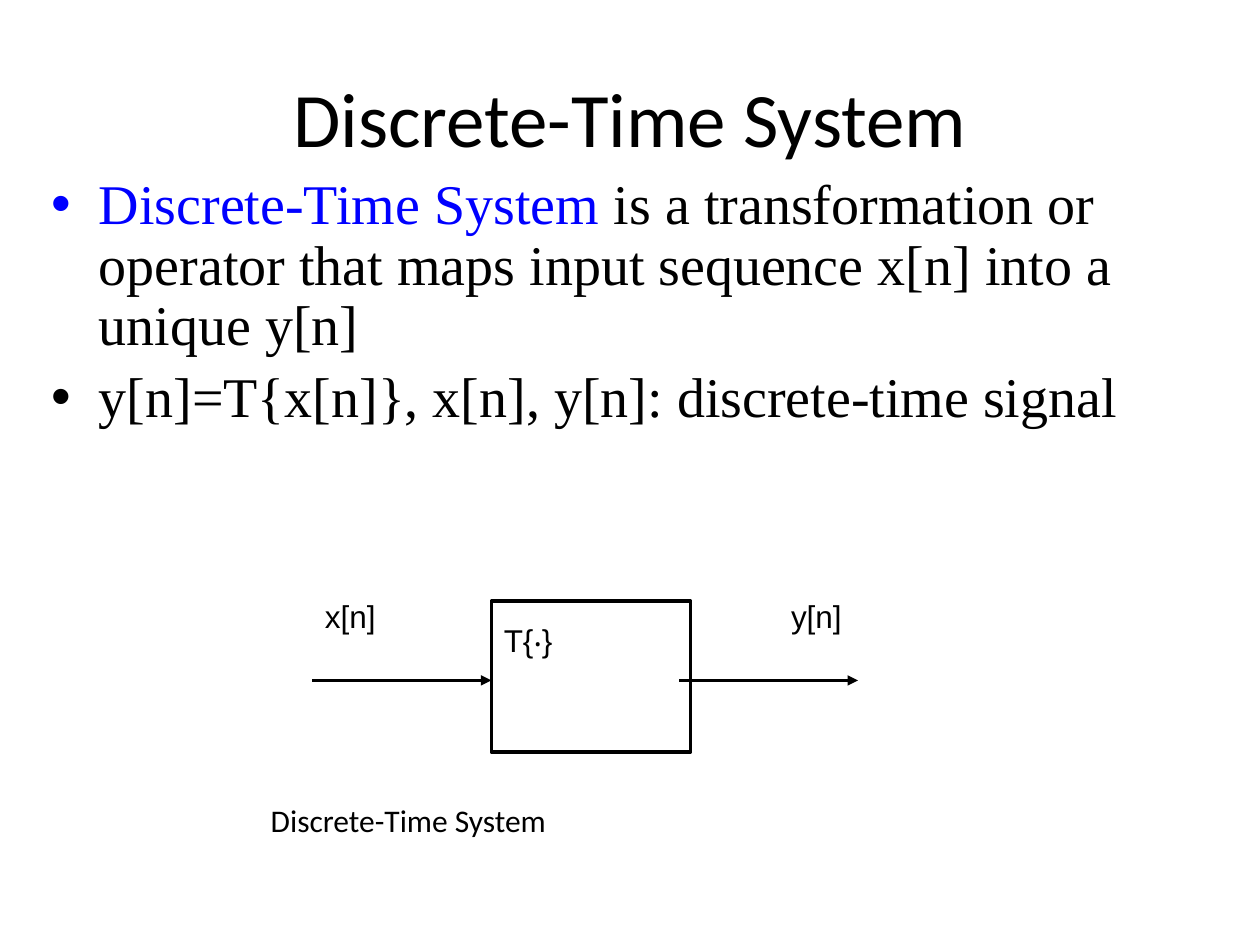
from dataclasses import dataclass
from typing import NamedTuple

from lxml.etree import SubElement
from pptx import Presentation
from pptx.dml.color import RGBColor as RGB
from pptx.enum.shapes import MSO_CONNECTOR as CONNECTOR, MSO_SHAPE as SHAPE
from pptx.enum.text import MSO_ANCHOR as ANCHOR, MSO_AUTO_SIZE as AUTO_SIZE, PP_ALIGN as ALIGN
from pptx.oxml.ns import qn
from pptx.util import Inches, Pt


@dataclass(frozen=True)
class Theme:
    ink: RGB = RGB(0, 0, 0)
    accent: RGB = RGB(0, 0, 255)
    heading_font: str = "Calibri"
    body_font: str = "Times New Roman"
    label_font: str = "Arial"
    title_size: int = 44
    body_size: int = 32
    label_size: int = 18
    box_line: float = 2
    arrow_line: float = 1.5


class Box(NamedTuple):
    left: float
    top: float
    width: float
    height: float

    def lengths(self) -> list:
        return [Inches(value) for value in self]


class Label(NamedTuple):
    text: str
    box: Box
    font: str


THEME = Theme()
TITLE_BOX = Box(0.5, 0.3, 9, 1.25)
BODY_BOX = Box(0.31, 1.35, 9.61, 2.95)
SYSTEM_BOX = Box(3.9, 4.77, 1.58, 1.2)
SIGNAL_Y = 5.4
ARROW_LENGTH = 1.42
ARROW_STARTS = (2.48, 5.39)
SIGNALS = (
    Label("x[n]", Box(2.48, 4.69, 1.02, 0.63), THEME.label_font),
    Label("y[n]", Box(6.18, 4.69, 0.94, 0.63), THEME.label_font),
)
CAPTION = Label("Discrete-Time System", Box(2.05, 6.31, 5.09, 0.63), THEME.heading_font)
# Each bullet is a list of (text, colour) pieces
BULLETS = (
    (("Discrete-Time System ", THEME.accent),
     ("is a transformation or operator that maps input sequence x[n] into a unique y[n]",
      THEME.ink)),
    (("y[n]=T{x[n]}, x[n], y[n]: discrete-time signal", THEME.ink),),
)


def write(paragraph, text: str, *, font: str = THEME.label_font,
          size: float = THEME.label_size, color: RGB = THEME.ink) -> None:
    """Append a formatted run to a paragraph."""
    run = paragraph.add_run()
    run.text = text
    run.font.name = font
    run.font.size = Pt(size)
    run.font.color.rgb = color


def place(placeholder, box: Box):
    """Move a placeholder and return its text frame."""
    (placeholder.left, placeholder.top,
     placeholder.width, placeholder.height) = box.lengths()
    frame = placeholder.text_frame
    frame.auto_size = AUTO_SIZE.NONE
    return frame


def draw_label(shapes, label: Label) -> None:
    frame = shapes.add_textbox(*label.box.lengths()).text_frame
    frame.word_wrap = True
    write(frame.paragraphs[0], label.text, font=label.font)


def draw_system(shapes, text: str) -> None:
    system = shapes.add_shape(SHAPE.RECTANGLE, *SYSTEM_BOX.lengths())
    system.shadow.inherit = False
    system.fill.background()
    system.line.color.rgb = THEME.ink
    system.line.width = Pt(THEME.box_line)
    frame = system.text_frame
    frame.vertical_anchor = ANCHOR.TOP
    frame.margin_top = Inches(0.16)
    frame.paragraphs[0].alignment = ALIGN.LEFT
    write(frame.paragraphs[0], text)


def draw_arrow(shapes, start: float) -> None:
    arrow = shapes.add_connector(
        CONNECTOR.STRAIGHT, Inches(start), Inches(SIGNAL_Y),
        Inches(start + ARROW_LENGTH), Inches(SIGNAL_Y))
    arrow.line.color.rgb = THEME.ink
    arrow.line.width = Pt(THEME.arrow_line)
    SubElement(arrow.line._get_or_add_ln(), qn("a:tailEnd"), type="triangle")
    SubElement(arrow._element.spPr, qn("a:effectLst"))


def main() -> None:
    deck = Presentation()
    deck.slide_width, deck.slide_height = Inches(10), Inches(7.5)
    slide = deck.slides.add_slide(deck.slide_layouts[1])
    title, body = slide.placeholders

    # Title
    heading = place(title, TITLE_BOX)
    heading.vertical_anchor = ANCHOR.MIDDLE
    heading.paragraphs[0].alignment = ALIGN.CENTER
    write(heading.paragraphs[0], "Discrete-Time System",
          font=THEME.heading_font, size=THEME.title_size)

    # Definition; bullets and indents come from the template
    definition = place(body, BODY_BOX)
    for index, pieces in enumerate(BULLETS):
        bullet = definition.add_paragraph() if index else definition.paragraphs[0]
        bullet.line_spacing = 0.9
        for text, color in pieces:
            write(bullet, text, font=THEME.body_font, size=THEME.body_size, color=color)

    # Block diagram
    diagram = slide.shapes.add_group_shape().shapes
    draw_system(diagram, "T{‧}")
    for start in ARROW_STARTS:
        draw_arrow(diagram, start)
    for signal in SIGNALS:
        draw_label(diagram, signal)

    # Caption
    draw_label(slide.shapes, CAPTION)
    deck.save("out.pptx")


if __name__ == "__main__":
    main()
